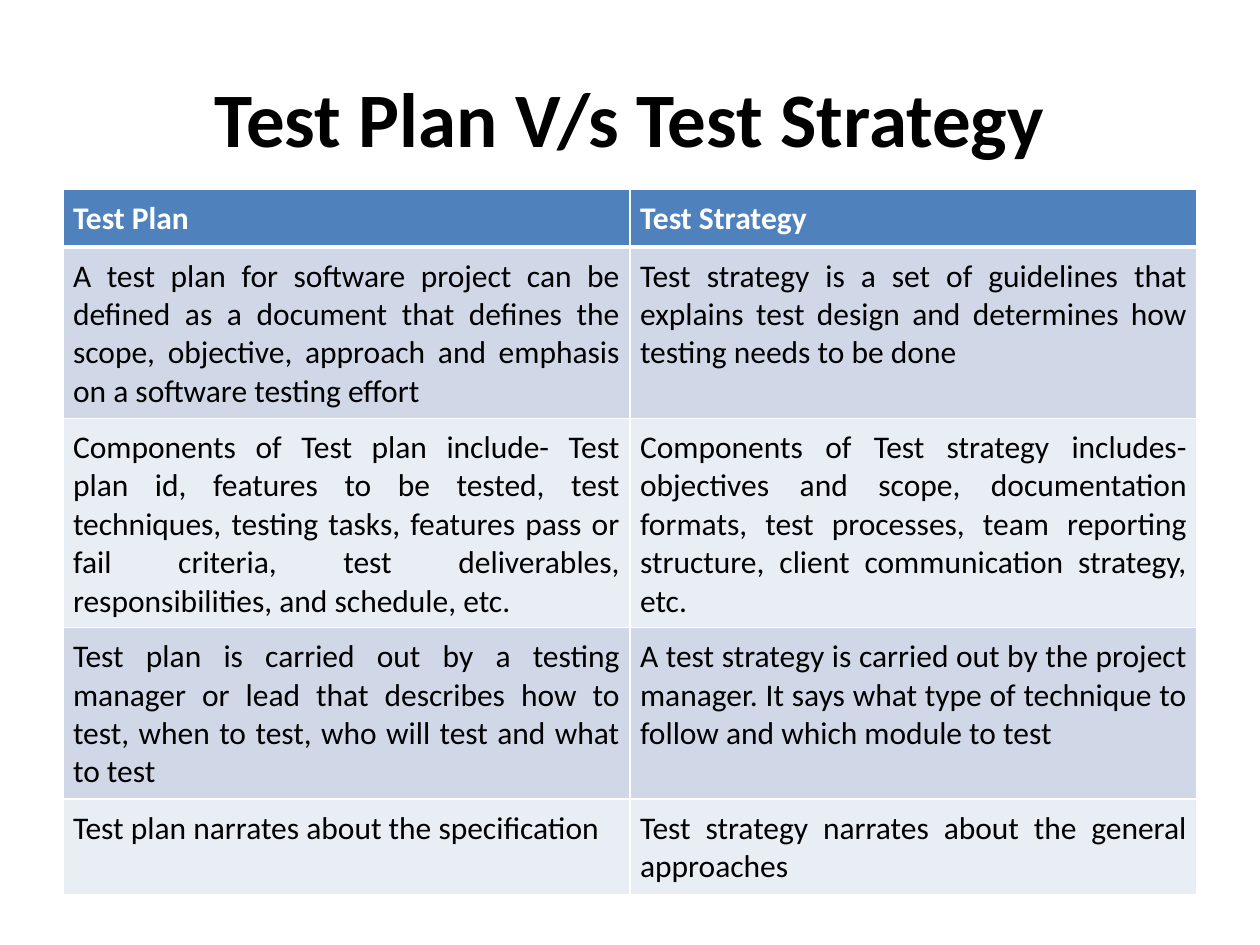
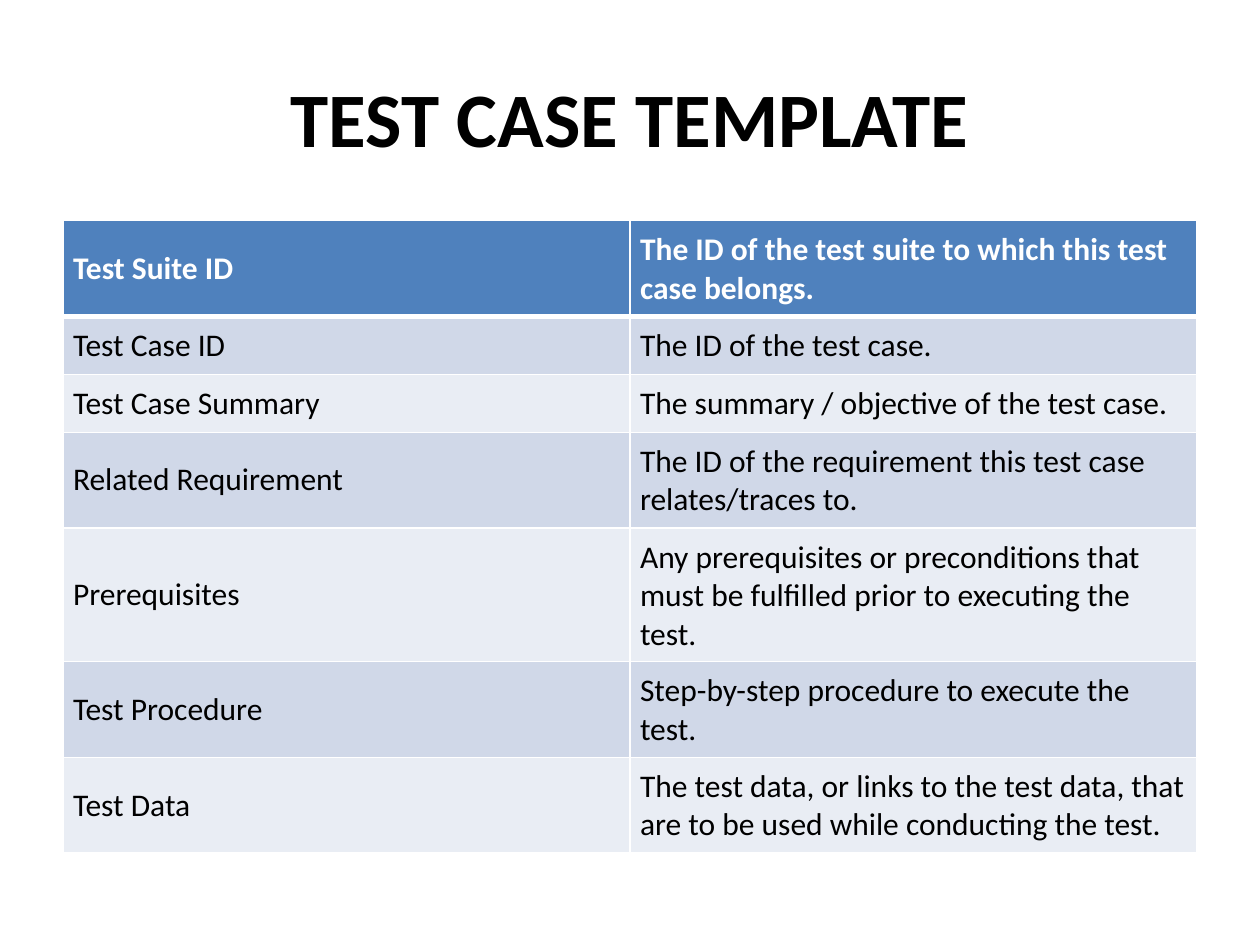
from lxml import etree
from pptx import Presentation
from pptx.dml.color import RGBColor
from pptx.enum.text import MSO_ANCHOR, PP_ALIGN
from pptx.oxml.ns import qn
from pptx.util import Inches, Pt

LEFT, CENTER, JUSTIFY = PP_ALIGN.LEFT, PP_ALIGN.CENTER, PP_ALIGN.JUSTIFY
TOP, MIDDLE = MSO_ANCHOR.TOP, MSO_ANCHOR.MIDDLE

# Shared look
FONT = "Calibri"
BLACK, WHITE = "000000", "FFFFFF"
HEADER_FILL = "4F81BD"
BAND_FILLS = ("E9EDF4", "D0D8E8")  # even and odd body rows
MARGIN, CONTENT_WIDTH = 0.5, 9
ROW_HEIGHT = 0.41  # minimum; rows grow with their text
CELL_INSET = 0.08
THIN_RULE, HEADER_RULE = 1, 3

# Slide content
PLAN_VERSUS_STRATEGY = [
    ("Test Plan", "Test Strategy"),
    ("A test plan for software project can be defined as a document that "
     "defines the scope, objective, approach and emphasis on a software "
     "testing effort",
     "Test strategy is a set of guidelines that explains test design and "
     "determines how testing needs to be done"),
    ("Components of Test plan include- Test plan id, features to be tested, "
     "test techniques, testing tasks, features pass or fail criteria, test "
     "deliverables, responsibilities, and schedule, etc.",
     "Components of Test strategy includes- objectives and scope, "
     "documentation formats, test processes, team reporting structure, "
     "client communication strategy, etc."),
    ("Test plan is carried out by a testing manager or lead that describes "
     "how to test, when to test, who will test and what to test",
     "A test strategy is carried out by the project manager. It says what "
     "type of technique to follow and which module to test"),
    ("Test plan narrates about the specification",
     "Test strategy narrates about the general approaches"),
]
TEST_CASE_FIELDS = [
    ("Test Suite ID",
     "The ID of the test suite to which this test case belongs."),
    ("Test Case ID", "The ID of the test case."),
    ("Test Case Summary", "The summary / objective of the test case."),
    ("Related Requirement",
     "The ID of the requirement this test case relates/traces to."),
    ("Prerequisites",
     "Any prerequisites or preconditions that must be fulfilled prior to "
     "executing the test."),
    ("Test Procedure", "Step-by-step procedure to execute the test."),
    ("Test Data",
     "The test data, or links to the test data, that are to be used while "
     "conducting the test."),
]


def color(hex_value):
    return RGBColor.from_string(hex_value)


def write_text(text_frame, text, size=18, font_color=BLACK, bold=False,
               align=LEFT):
    text_frame.word_wrap = True
    paragraph = text_frame.paragraphs[0]
    paragraph.alignment = align
    run = paragraph.add_run()
    run.text = text
    run.font.name = FONT
    run.font.size = Pt(size)
    run.font.bold = bold
    run.font.color.rgb = color(font_color)


def add_title(slide, text):
    box = slide.shapes.add_textbox(Inches(MARGIN), Inches(0.3),
                                   Inches(CONTENT_WIDTH), Inches(1.25))
    box.text_frame.vertical_anchor = MIDDLE
    write_text(box.text_frame, text, size=44, bold=True, align=CENTER)


def set_borders(cell, top, bottom):
    """Draw white rules round a cell, ahead of its fill in the XML."""
    properties = cell._tc.get_or_add_tcPr()
    rules = (("L", THIN_RULE), ("R", THIN_RULE), ("T", top), ("B", bottom))
    for position, (side, width) in enumerate(rules):
        line = etree.Element(qn(f"a:ln{side}"), w=str(Pt(width)))
        fill = etree.SubElement(line, qn("a:solidFill"))
        etree.SubElement(fill, qn("a:srgbClr"), val=WHITE)
        properties.insert(position, line)


def fill_cell(cell, text, row_index, body_align, anchor):
    is_header = row_index == 0
    cell.margin_left = cell.margin_right = Inches(CELL_INSET)
    cell.margin_top = cell.margin_bottom = Inches(CELL_INSET)
    cell.vertical_anchor = anchor
    cell.fill.solid()
    cell.fill.fore_color.rgb = color(
        HEADER_FILL if is_header else BAND_FILLS[row_index % 2])
    set_borders(cell,
                top=HEADER_RULE if row_index == 1 else THIN_RULE,
                bottom=HEADER_RULE if is_header else THIN_RULE)
    write_text(cell.text_frame, text, bold=is_header,
               font_color=WHITE if is_header else BLACK,
               align=LEFT if is_header else body_align)


def add_banded_table(slide, rows, top, height, body_align=LEFT, anchor=TOP):
    frame = slide.shapes.add_table(
        len(rows), len(rows[0]), Inches(MARGIN), Inches(top),
        Inches(CONTENT_WIDTH), Inches(height))
    for row_index, texts in enumerate(rows):
        frame.table.rows[row_index].height = Inches(ROW_HEIGHT)
        for column_index, text in enumerate(texts):
            fill_cell(frame.table.cell(row_index, column_index), text,
                      row_index, body_align, anchor)
    frame.height = Inches(height)


def add_slide(presentation, title):
    slide = presentation.slides.add_slide(presentation.slide_layouts[6])
    add_title(slide, title)
    return slide


def main():
    presentation = Presentation()
    presentation.slide_width = Inches(10)
    presentation.slide_height = Inches(7.5)

    # Slide 1: comparison
    slide = add_slide(presentation, "Test Plan V/s Test Strategy")
    add_banded_table(slide, PLAN_VERSUS_STRATEGY, top=1.5, height=5.63,
                     body_align=JUSTIFY)

    # Slide 2: template fields
    slide = add_slide(presentation, "TEST CASE TEMPLATE")
    add_banded_table(slide, TEST_CASE_FIELDS, top=1.75, height=5.07,
                     anchor=MIDDLE)

    presentation.save("out.pptx")


if __name__ == "__main__":
    main()
